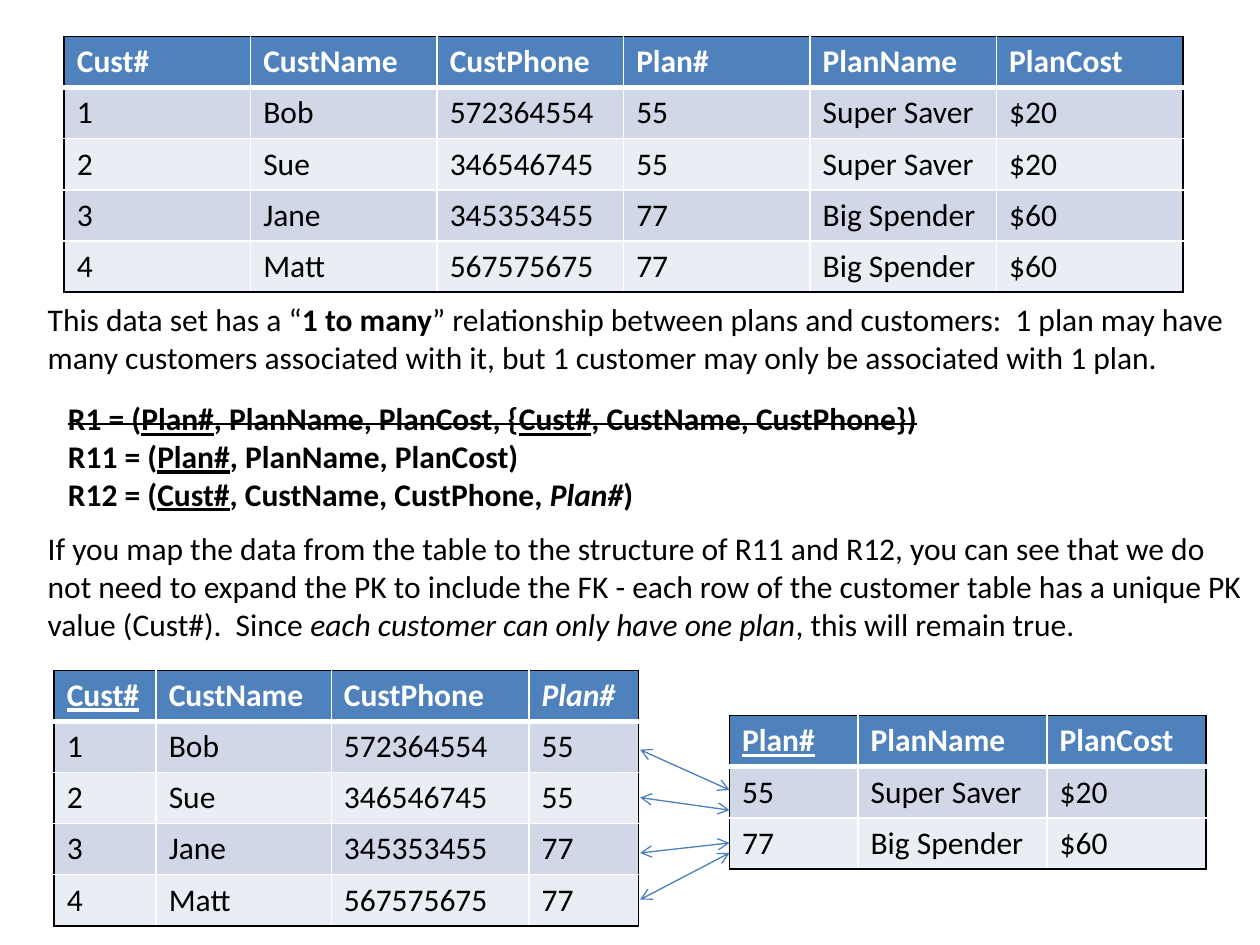
from pptx import Presentation
from pptx.dml.color import RGBColor
from pptx.enum.shapes import MSO_CONNECTOR
from pptx.oxml.ns import qn
from pptx.util import Inches, Pt
from lxml.etree import SubElement

THEME = {
    "font": "Calibri", "size": 18,
    "text": "000000", "header": "4F81BD", "header_text": "FFFFFF",
    "bands": ("D0D8E8", "E9EDF4"),
    "edge": "000000", "grid": "FFFFFF", "arrow": "4B7EBC",
    "line": 1, "header_line": 3, "arrow_line": 0.75,
}

FIELDS = ("Cust#", "CustName", "CustPhone", "Plan#", "PlanName", "PlanCost")
RECORDS = [
    ("1", "Bob", "572364554", "55", "Super Saver", "$20"),
    ("2", "Sue", "346546745", "55", "Super Saver", "$20"),
    ("3", "Jane", "345353455", "77", "Big Spender", "$60"),
    ("4", "Matt", "567575675", "77", "Big Spender", "$60"),
]
UNDERLINE, ITALIC, BOLD = {"underline": True}, {"italic": True}, {"bold": True}

TABLES = [
    {"at": (0.51, 0.29), "fields": FIELDS, "widths": [1.48] * 6, "keys": {}},
    {"at": (5.79, 5.68), "fields": FIELDS[3:], "widths": [1.02, 1.5, 1.26],
     "keys": {"Plan#": UNDERLINE}},
    {"at": (0.43, 5.32), "fields": FIELDS[:4], "widths": [0.81, 1.39, 1.57, 0.87],
     "keys": {"Cust#": UNDERLINE, "Plan#": ITALIC}},
]
ROW_HEIGHT = 0.4

RELATIONSHIP = [[
    ("This data set has a “", {}), ("1 to many", BOLD),
    ("” relationship between plans and customers:  1 plan may have many customers "
     "associated with it, but 1 customer may only be associated with 1 plan.", {}),
]]
RELATIONS = [
    [("R1 = (", {}), ("Plan#", UNDERLINE), (", PlanName, PlanCost, {", {}),
     ("Cust#", UNDERLINE), (", CustName, CustPhone})", {})],
    [("R11 = (", {}), ("Plan#", UNDERLINE), (", PlanName, PlanCost)", {})],
    [("R12 = (", {}), ("Cust#", UNDERLINE), (", CustName, CustPhone,", {}),
     (" Plan#", ITALIC), (")", {})],
]
RELATIONS[0] = [(text, {**fmt, "strike": True}) for text, fmt in RELATIONS[0]]
EXPLANATION = [[
    ("If you map the data from the table to the structure of R11 and R12, you can see "
     "that we do not need to expand the PK to include the FK - each row of the customer "
     "table has a unique PK value (Cust#).  Since ", {}),
    ("each customer can only have one plan", ITALIC), (", this will remain true.", {}),
]]
TEXTS = [
    ((0.28, 2.33, 9.69, 0.71), RELATIONSHIP, {}),
    ((0.44, 3.12, 9.69, 1.01), RELATIONS, BOLD),
    ((0.28, 4.15, 9.69, 1.01), EXPLANATION, {}),
]

PLAN_X, CUSTOMER_X = 5.79, 5.08
LINKS = [(6.27, 5.95), (6.43, 6.33), (6.69, 6.77), (6.77, 7.14)]


def add_run(p, text, color=THEME["text"], bold=False, italic=False,
            underline=False, strike=False):
    r = p.add_run()
    r.text = text
    r.font.name, r.font.size = THEME["font"], Pt(THEME["size"])
    r.font.color.rgb = RGBColor.from_string(color)
    r.font.bold, r.font.italic, r.font.underline = bold, italic, underline
    if strike:
        r._r.get_or_add_rPr().set("strike", "sngStrike")


def add_border(cell, side, color, width):
    ln = SubElement(cell._tc.get_or_add_tcPr(), qn(f"a:ln{side}"), w=str(Pt(width)))
    SubElement(SubElement(ln, qn("a:solidFill")), qn("a:srgbClr"), val=color)


def add_data_table(s, at, fields, widths, keys):
    picks = [FIELDS.index(field) for field in fields]
    rows = [fields, *dict.fromkeys(tuple(rec[i] for i in picks) for rec in RECORDS)]
    last_row, last_col = len(rows) - 1, len(fields) - 1
    x, y = at
    table = s.shapes.add_table(len(rows), len(fields), Inches(x), Inches(y),
                               Inches(sum(widths)), Inches(ROW_HEIGHT * len(rows))).table
    table.horz_banding = False
    for column, width in zip(table.columns, widths):
        column.width = Inches(width)
    for i, row in enumerate(rows):
        table.rows[i].height = Inches(ROW_HEIGHT)
        for j, text in enumerate(row):
            cell = table.cell(i, j)
            outer = {"L": j == 0, "R": j == last_col, "T": i == 0, "B": i == last_row}
            for side, is_edge in outer.items():
                heavy = (i, side) in ((0, "B"), (1, "T"))
                add_border(cell, side, THEME["edge" if is_edge else "grid"],
                           THEME["header_line" if heavy else "line"])
            fill = THEME["bands"][(i - 1) % 2] if i else THEME["header"]
            cell.fill.solid()
            cell.fill.fore_color.rgb = RGBColor.from_string(fill)
            fmt = {} if i else {"color": THEME["header_text"], "bold": True,
                                **keys.get(text, {})}
            add_run(cell.text_frame.paragraphs[0], text, **fmt)


def add_text(s, box, paragraphs, base):
    tf = s.shapes.add_textbox(*map(Inches, box)).text_frame
    tf.word_wrap = True
    for i, runs in enumerate(paragraphs):
        p = tf.add_paragraph() if i else tf.paragraphs[0]
        for text, fmt in runs:
            add_run(p, text, **{**base, **fmt})


def add_link(s, plan_y, customer_y):
    line = s.shapes.add_connector(MSO_CONNECTOR.STRAIGHT, Inches(PLAN_X), Inches(plan_y),
                                  Inches(CUSTOMER_X), Inches(customer_y))
    line.line.color.rgb = RGBColor.from_string(THEME["arrow"])
    line.line.width = Pt(THEME["arrow_line"])
    ln = line.line._get_or_add_ln()
    for end in ("a:headEnd", "a:tailEnd"):
        SubElement(ln, qn(end), type="arrow")
    SubElement(line._element.spPr, qn("a:effectLst"))


def main():
    prs = Presentation()
    prs.slide_width, prs.slide_height = Inches(10), Inches(7.5)
    s = prs.slides.add_slide(prs.slide_layouts[6])
    for spec_table in TABLES:
        add_data_table(s, **spec_table)
    for link in LINKS:
        add_link(s, *link)
    for text in TEXTS:
        add_text(s, *text)
    prs.save("out.pptx")


if __name__ == "__main__":
    main()
